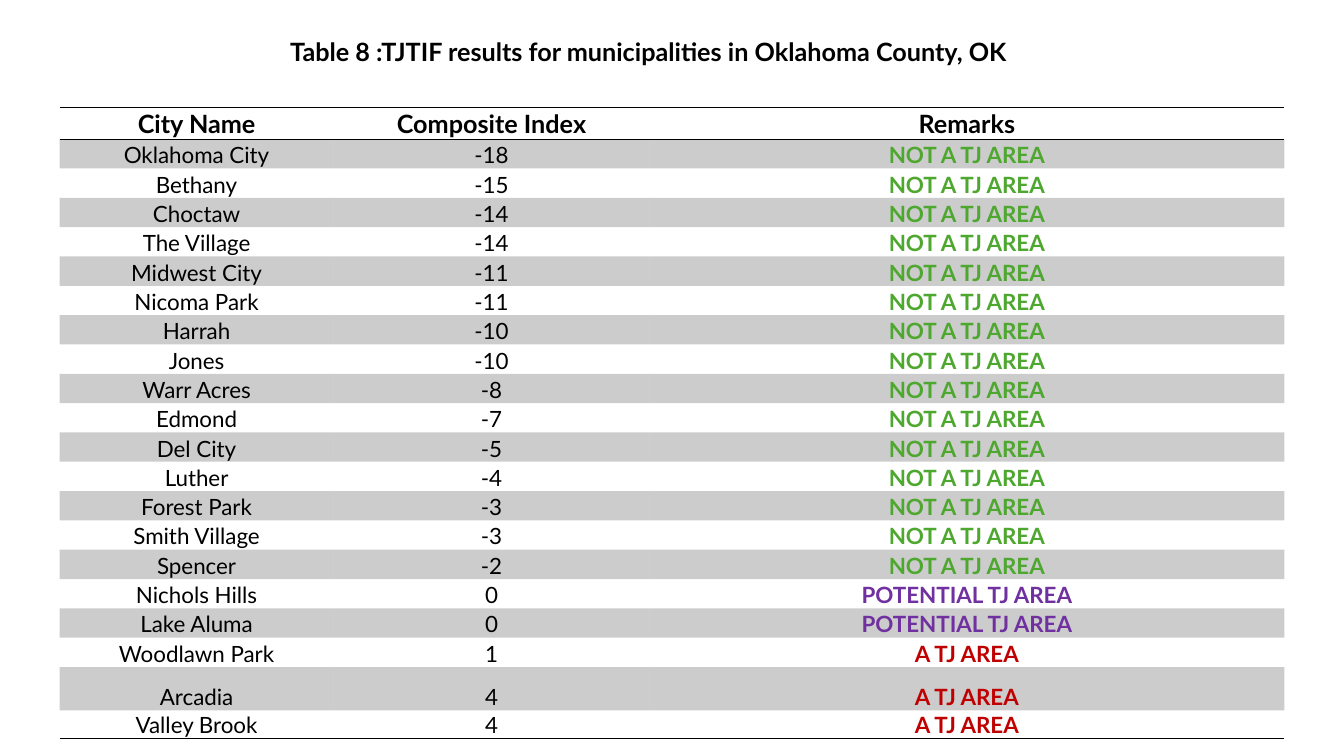
from lxml import etree
from pptx import Presentation
from pptx.dml.color import RGBColor
from pptx.enum.text import MSO_ANCHOR, PP_ALIGN
from pptx.oxml.ns import qn
from pptx.util import Inches, Pt

CENTER = PP_ALIGN.CENTER
BOTTOM = MSO_ANCHOR.BOTTOM

SLIDE_WIDTH, SLIDE_HEIGHT = 13.33, 7.5
FONT = "Lato"
COLORS = {
    "text": "000000",
    "band": "000000",
    "rule": "000000",
    "NOT A TJ AREA": "4EA72E",
    "POTENTIAL TJ AREA": "7030A0",
    "A TJ AREA": "C00000",
}
BAND_OPACITY = 20
RULE_WIDTH = 1
NO_STYLE_NO_GRID = "{2D5ABB26-0587-4C30-8999-92F81FD0307C}"

TITLE = "Table 8 :TJTIF results for municipalities in Oklahoma County, OK"
TITLE_BOX = (2.78, 0.31, 7.42, 0.4)

TABLE_LEFT, TABLE_TOP, TABLE_HEIGHT = 0.59, 1.07, 6.25
COLUMN_WIDTHS = (2.72, 3.13, 6.3)
HEADER_HEIGHT = 0.31
CLOSING_HEIGHTS = [0.43, 0.27]
CELL_FORMAT = {
    "margin_left": Inches(0.01),
    "margin_right": Inches(0.01),
    "margin_top": Inches(0.01),
    "margin_bottom": 0,
    "vertical_anchor": BOTTOM,
}

HEADER = ("City Name", "Composite Index", "Remarks")
CITY_INDEXES = [
    ("Oklahoma City", -18), ("Bethany", -15), ("Choctaw", -14),
    ("The Village", -14), ("Midwest City", -11), ("Nicoma Park", -11),
    ("Harrah", -10), ("Jones", -10), ("Warr Acres", -8), ("Edmond", -7),
    ("Del City", -5), ("Luther", -4), ("Forest Park", -3),
    ("Smith Village", -3), ("Spencer", -2), ("Nichols Hills", 0),
    ("Lake Aluma", 0), ("Woodlawn Park", 1), ("Arcadia", 4),
    ("Valley Brook", 4),
]


def remark_for(index):
    if index < 0:
        return "NOT A TJ AREA"
    return "POTENTIAL TJ AREA" if index == 0 else "A TJ AREA"


def write_text(text_frame, text, size, bold, color, alignment=None):
    paragraph = text_frame.paragraphs[0]
    paragraph.alignment = alignment
    run = paragraph.add_run()
    run.text = text
    font_format = {"name": FONT, "size": Pt(size), "bold": bold}
    for attribute, value in font_format.items():
        setattr(run.font, attribute, value)
    run.font.color.rgb = RGBColor.from_string(color)


def add_rule(cell, side):
    """Draw a cell border; side is "T" for top or "B" for bottom."""
    properties = cell._tc.get_or_add_tcPr()
    line = etree.SubElement(properties, qn(f"a:ln{side}"), w=str(Pt(RULE_WIDTH)))
    fill = etree.SubElement(line, qn("a:solidFill"))
    etree.SubElement(fill, qn("a:srgbClr"), val=COLORS["rule"])


def fill_cell(cell, banded):
    if not banded:
        cell.fill.background()
        return
    cell.fill.solid()
    cell.fill.fore_color.rgb = RGBColor.from_string(COLORS["band"])
    color = cell._tc.tcPr.find(".//" + qn("a:solidFill") + "/" + qn("a:srgbClr"))
    etree.SubElement(color, qn("a:alpha"), val=str(BAND_OPACITY * 1000))


def add_title(slide):
    box = slide.shapes.add_textbox(*map(Inches, TITLE_BOX))
    box.text_frame.word_wrap = True
    write_text(box.text_frame, TITLE, 18, True, COLORS["text"])


def add_results_table(slide):
    rows = [HEADER] + [
        (city, str(index), remark_for(index)) for city, index in CITY_INDEXES
    ]
    regular_count = len(CITY_INDEXES) - len(CLOSING_HEIGHTS)
    regular_height = (
        TABLE_HEIGHT - HEADER_HEIGHT - sum(CLOSING_HEIGHTS)
    ) / regular_count
    heights = [HEADER_HEIGHT] + [regular_height] * regular_count + CLOSING_HEIGHTS

    bounds = (TABLE_LEFT, TABLE_TOP, sum(COLUMN_WIDTHS), TABLE_HEIGHT)
    table = slide.shapes.add_table(
        len(rows), len(HEADER), *map(Inches, bounds)
    ).table
    table._tbl.tblPr.find(qn("a:tableStyleId")).text = NO_STYLE_NO_GRID
    table.horz_banding = False
    for column, width in zip(table.columns, COLUMN_WIDTHS):
        column.width = Inches(width)
    for row, height in zip(table.rows, heights):
        row.height = Inches(height)

    rules = {0: "TB", len(rows) - 1: "B"}
    for row_number, texts in enumerate(rows):
        is_header = row_number == 0
        for column_number, text in enumerate(texts):
            cell = table.cell(row_number, column_number)
            for attribute, value in CELL_FORMAT.items():
                setattr(cell, attribute, value)
            for side in rules.get(row_number, ""):
                add_rule(cell, side)
            fill_cell(cell, banded=row_number % 2 == 1)
            write_text(
                cell.text_frame,
                text,
                size=18 if is_header else 16,
                bold=is_header or text in COLORS,
                color=COLORS.get(text, COLORS["text"]),
                alignment=CENTER,
            )


def main():
    presentation = Presentation()
    presentation.slide_width = Inches(SLIDE_WIDTH)
    presentation.slide_height = Inches(SLIDE_HEIGHT)
    slide = presentation.slides.add_slide(presentation.slide_layouts[6])
    add_results_table(slide)
    add_title(slide)
    presentation.save("out.pptx")


if __name__ == "__main__":
    main()
